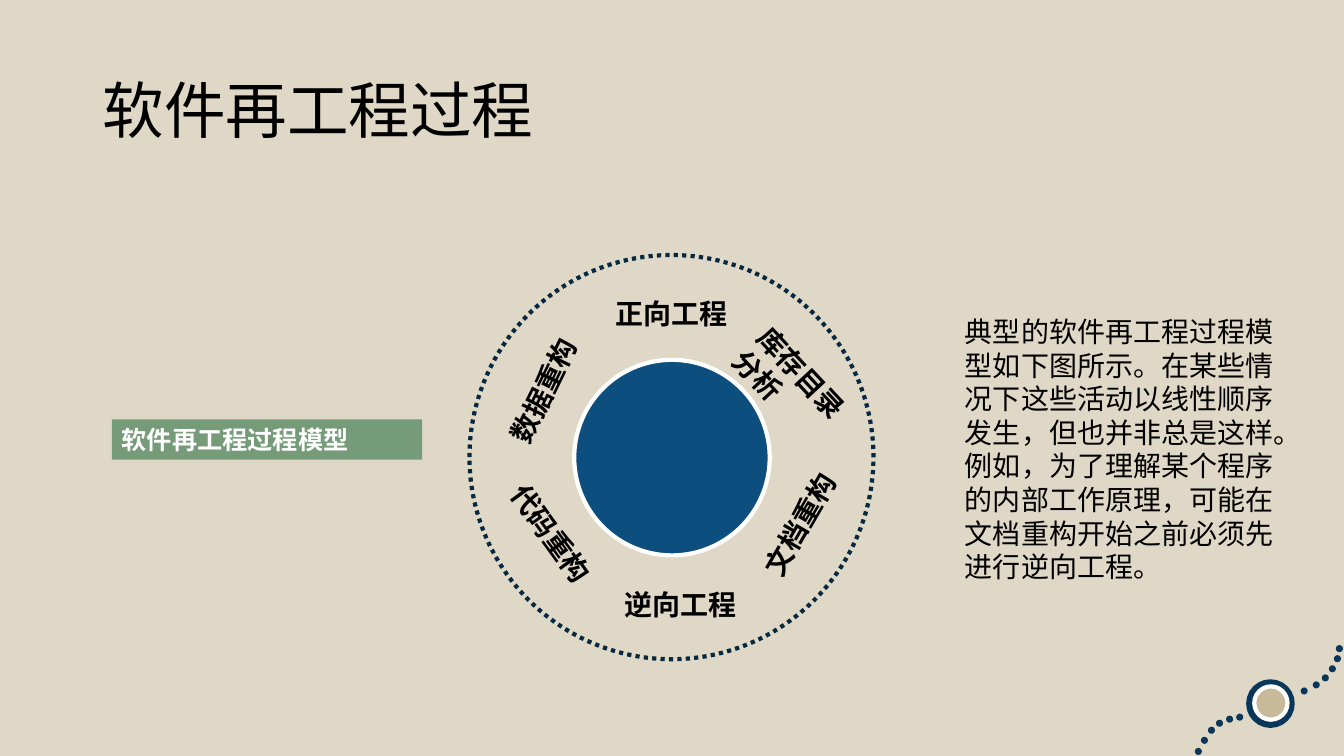
from dataclasses import dataclass

from pptx import Presentation
from pptx.dml.color import RGBColor
from pptx.enum.dml import MSO_LINE
from pptx.enum.shapes import MSO_SHAPE as SHP
from pptx.enum.text import MSO_ANCHOR as ANCHOR, PP_ALIGN as ALIGN
from pptx.util import Pt

PX = 9144  # EMU per px, 100 px to the inch


@dataclass(frozen=True)
class Theme:
    sand: str = "E0D8C6"
    tan: str = "C8B998"
    navy: str = "093759"
    ring: str = "062841"
    blue: str = "0C4E7E"
    green: str = "759B78"
    white: str = "FFFFFF"
    black: str = "000000"
    title: int = 44
    body: int = 20
    tag: int = 18
    text_font: str = "Calibri"
    label_font: str = "Arial"


T = Theme()

BODY = ("典型的软件再工程过程模型如下图所示。在某些情况下这些活动以线性顺序发生，"
        "但也并非总是这样。例如，为了理解某个程序的内部工作原理，"
        "可能在文档重构开始之前必须先进行逆向工程。")

# text, box, rotation in degrees
ACTIVITIES = [
    ("正向工程", (601, 289, 132, 44), 0),
    ("库存目录分析", (718, 343, 132, 77), 47),
    ("文档重构", (728, 497, 133, 44), 300),
    ("逆向工程", (610, 578, 132, 44), 0),
    ("数据重构", (474, 365, 132, 44), 296),
    ("代码重构", (479, 512, 142, 44), 54),
]

DOT_SIZE = 7
DOTS = [(1186, 742), (1192, 731), (1199, 721), (1207, 714), (1217, 710), (1227, 708),
        (1291, 682), (1303, 676), (1312, 669), (1319, 660), (1324, 650), (1326, 640)]


def rgb(color):
    return RGBColor.from_string(color)


def emu(box):
    return [v * PX for v in box]


def add_figure(shapes, kind, box, fill=None, line=None, width=0, dash=None):
    """Add a preset shape; without fill or line it stays hollow or unlined."""
    sp = shapes.add_shape(kind, *emu(box))
    sp.shadow.inherit = False
    for fmt, color in ((sp.fill, fill), (sp.line.fill, line)):
        if color:
            fmt.solid()
            fmt.fore_color.rgb = rgb(color)
        else:
            fmt.background()
    if line:
        sp.line.width = Pt(width)
        sp.line.dash_style = dash
    return sp


def write(sp, text, size, font=T.text_font, color=T.black, bold=False,
          anchor=ANCHOR.TOP, spacing=None):
    tf = sp.text_frame
    p = tf.paragraphs[0]
    r = p.add_run()
    r.text = text
    r.font.color.rgb = rgb(color)
    formats = [
        (tf, {"word_wrap": True, "vertical_anchor": anchor}),
        (p, {"alignment": ALIGN.LEFT, "line_spacing": spacing}),
        (r.font, {"size": Pt(size), "name": font, "bold": bold}),
    ]
    for target, values in formats:
        for name, value in values.items():
            setattr(target, name, value)


def add_text(shapes, box, text, size, rotation=0, **style):
    sp = shapes.add_textbox(*emu(box))
    sp.rotation = rotation
    write(sp, text, size, **style)


def add_corner_ornament(s):
    shapes = s.shapes.add_group_shape().shapes
    for x, y in DOTS:
        add_figure(shapes, SHP.OVAL, (x, y, DOT_SIZE, DOT_SIZE), T.navy)
    add_figure(shapes, SHP.OVAL, (1240, 677, 42, 42), T.white, T.navy, 4.5)
    add_figure(shapes, SHP.OVAL, (1245, 681, 33, 33), T.tan, T.white, 3)


def add_process_wheel(s):
    add_figure(s.shapes, SHP.OVAL, (570, 357, 194, 194), T.blue, T.white, 3)
    add_figure(s.shapes, SHP.OVAL, (466, 253, 401, 401), None, T.ring, 3, MSO_LINE.ROUND_DOT)
    for text, box, rotation in ACTIVITIES:
        add_text(s.shapes, box, text, T.body, rotation, font=T.label_font, bold=True)


def main():
    prs = Presentation()
    prs.slide_width, prs.slide_height = emu((1334, 750))
    s = prs.slides.add_slide(prs.slide_layouts[6])
    s.background.fill.solid()
    s.background.fill.fore_color.rgb = rgb(T.sand)

    add_corner_ornament(s)
    add_text(s.shapes, (92, 40, 1150, 145), "软件再工程过程", T.title,
             anchor=ANCHOR.MIDDLE, spacing=0.9)
    add_process_wheel(s)
    add_text(s.shapes, (948, 307, 330, 277), BODY, T.body)
    tag = add_figure(s.shapes, SHP.RECTANGLE, (111, 416, 308, 40), T.green)
    write(tag, "软件再工程过程模型", T.tag, color=T.white, bold=True)

    prs.save("out.pptx")


if __name__ == "__main__":
    main()
